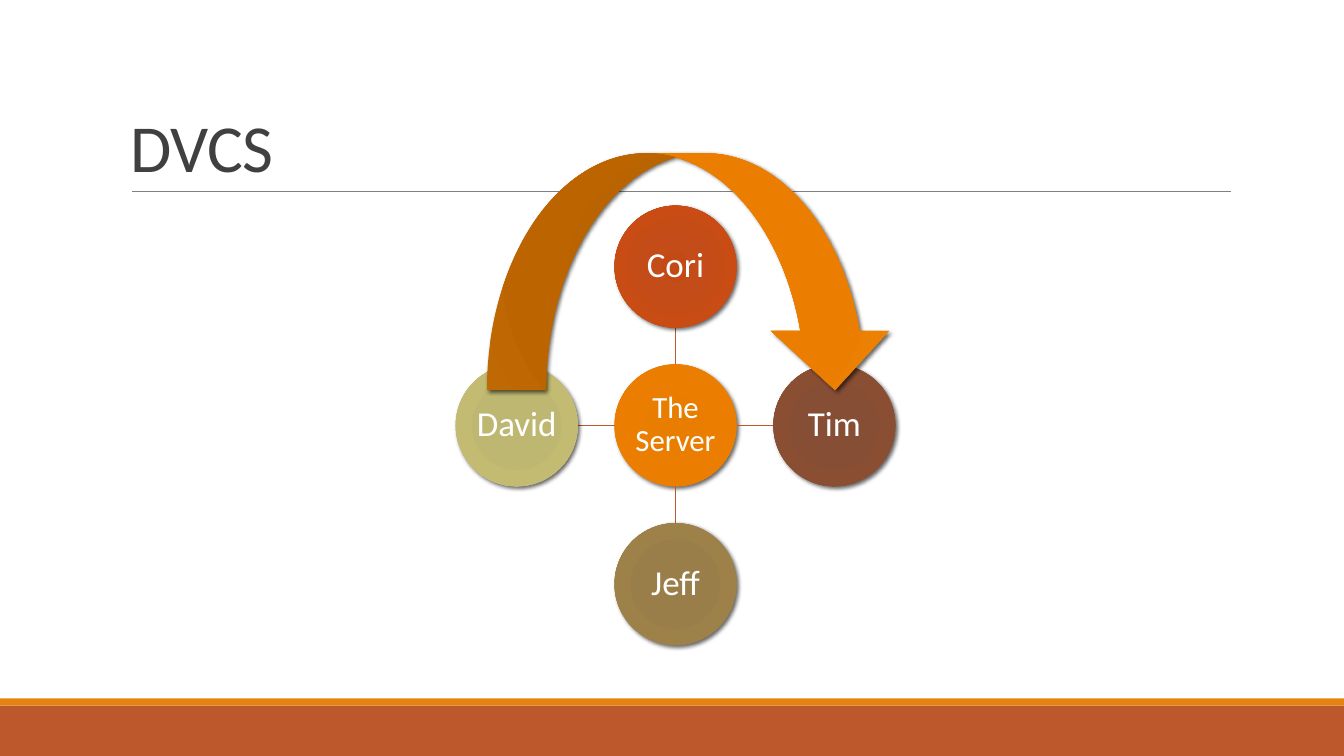
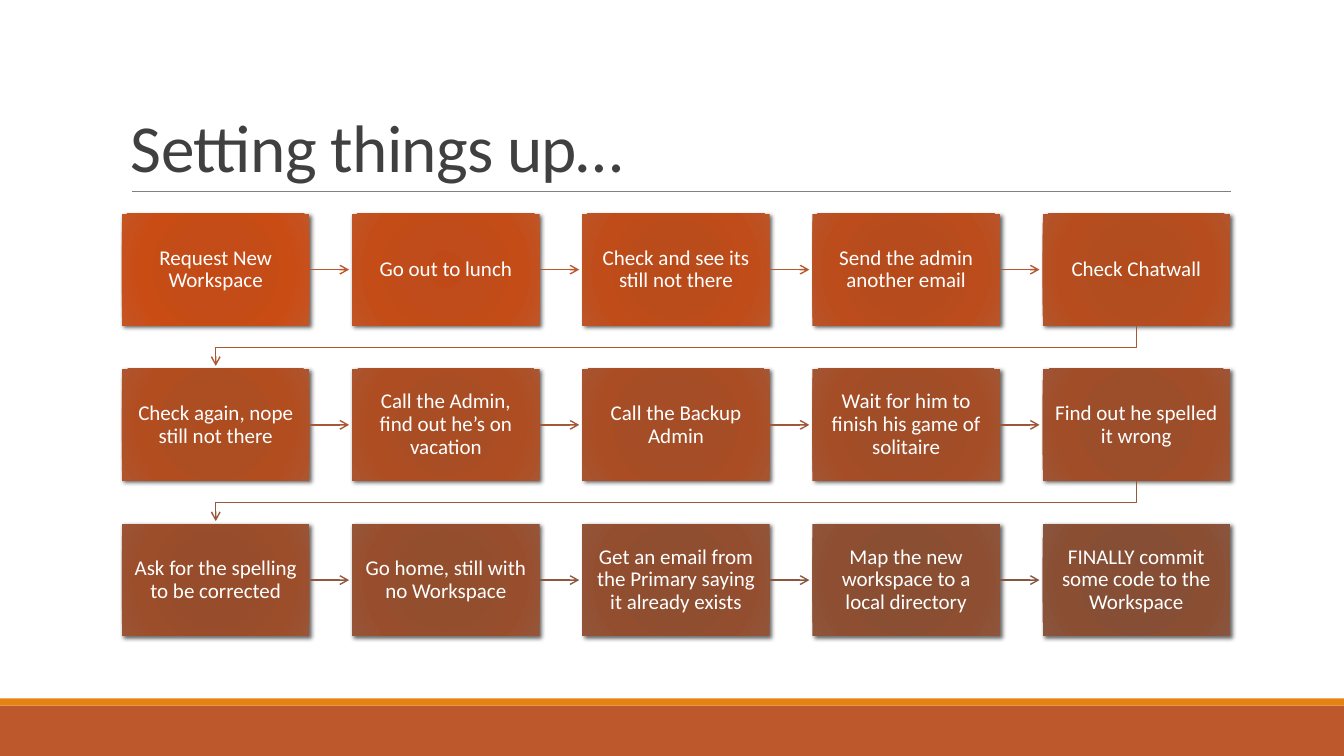
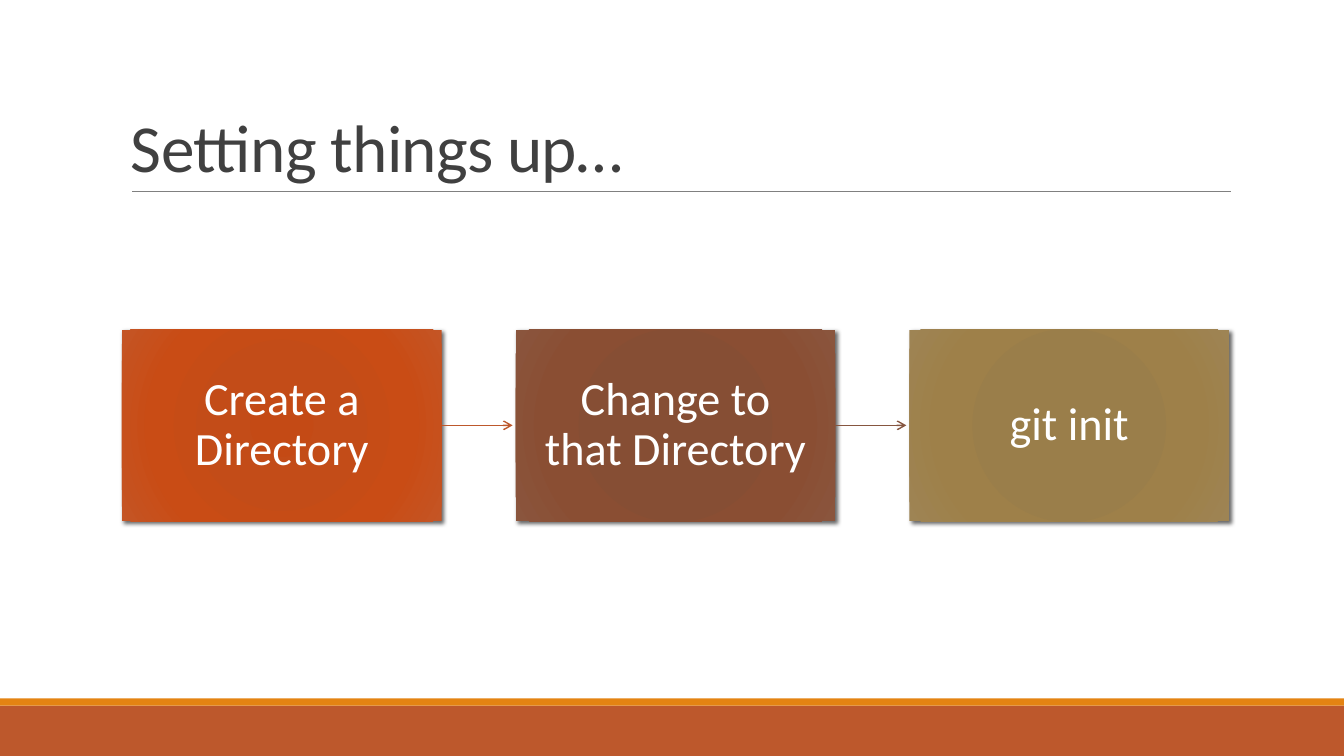
from lxml import etree
from pptx import Presentation
from pptx import util as u
from pptx.dml import color
from pptx.enum import shapes, text
from pptx.oxml import ns

FONT = "Calibri"
PALETTE = {
    "rust": "BD582C", "amber": "E48312", "rule": "808080",
    "title": "404040", "white": "FFFFFF", "umber": "865640",
}
STOPS = (0, 34, 70, 100)
GLOW = {
    "orange": ("E57B00", "E87D00", "EB7E00", "EF8407"),
    "red": ("C44A15", "C34C18", "C94C15", "C45525"),
    "brown": ("874C32", "864E34", "8A4E33", "8A553D"),
    "khaki": ("9A7D48", "9A7E4A", "9E8049", "9E8454"),
    "lime": ("BEB76E", "BEB771", "C3BB71", "C5BF7D"),
}
SHADOW = {"blurRad": u.Pt(3), "dist": u.Pt(2), "dir": 45 * 60000, "algn": "tl"}
ARROW_GAP = 0.03


def rgb(hex_code):
    return color.RGBColor.from_string(hex_code)


def blend(start, end, share):
    pairs = zip(bytes.fromhex(start), bytes.fromhex(end))
    return "".join(f"{round(a + (b - a) * share):02X}" for a, b in pairs)


def inches(*lengths):
    return [u.Inches(length) for length in lengths]


def apply(target, values):
    for name, value in values.items():
        setattr(target, name, value)


def child(parent, tag, **attributes):
    node = etree.SubElement(parent, ns.qn(f"a:{tag}"))
    for name, value in attributes.items():
        node.set(name, str(value))
    return node


def write(shape, words, size, ink, align, anchor, spacing, insets):
    frame = shape.text_frame
    apply(frame, {"word_wrap": True, "vertical_anchor": anchor})
    sides = ("margin_left", "margin_top", "margin_right", "margin_bottom")
    apply(frame, dict(zip(sides, inches(*insets))))
    paragraph = frame.paragraphs[0]
    apply(paragraph, {"alignment": align, "line_spacing": spacing})
    run = paragraph.add_run()
    run.text = words
    apply(run.font, {"name": FONT, "size": u.Pt(size)})
    run.font.color.rgb = rgb(ink)
    return run


def band(slide, top, height, tint):
    bar = slide.shapes.add_shape(shapes.MSO_SHAPE.RECTANGLE, *inches(0, top, 13.33, height))
    bar.shadow.inherit = False
    bar.fill.solid()
    bar.fill.fore_color.rgb = rgb(tint)
    bar.line.fill.background()


def style_line(line, tint, width, arrow=False):
    line.color.rgb = rgb(tint)
    line.width = u.Pt(width)
    if arrow:
        child(line._get_or_add_ln(), "tailEnd", type="arrow")


def connect(slide, start, end, tint, width=1, arrow=False, source=None):
    link = slide.shapes.add_connector(
        shapes.MSO_CONNECTOR.STRAIGHT, *inches(*start, *end))
    if source is not None:
        link.begin_connect(source, 3)
    style_line(link.line, tint, width, arrow)
    child(link.element.spPr, "effectLst")


def glowing(slide, preset, box, tints):
    shape = slide.shapes.add_shape(preset, *inches(*box))
    shape.line.fill.background()
    shape.fill.gradient()
    gradient = shape.element.spPr.find(ns.qn("a:gradFill"))
    for part in list(gradient):
        gradient.remove(part)
    stops = child(gradient, "gsLst")
    for stop, tint in zip(STOPS, tints):
        child(child(stops, "gs", pos=stop * 1000), "srgbClr", val=tint)
    circle = child(gradient, "path", path="circle")
    child(circle, "fillToRect", **dict.fromkeys("ltrb", 100000))
    shape.shadow.inherit = False
    effects = shape.element.spPr.find(ns.qn("a:effectLst"))
    cast = child(effects, "outerShdw", **SHADOW)
    child(child(cast, "srgbClr", val="000000"), "alpha", val=60000)
    return shape


def label(shape, words, size, inset):
    write(shape, words, size, PALETTE["white"], text.PP_ALIGN.CENTER,
          text.MSO_ANCHOR.MIDDLE, 0.9, [inset] * 4)


def titled_slide(deck, heading):
    slide = deck.slides.add_slide(deck.slide_layouts[6])
    band(slide, 7, 0.5, PALETTE["rust"])
    band(slide, 6.93, 0.07, PALETTE["amber"])
    connect(slide, (1.31, 1.9), (12.21, 1.9), PALETTE["rule"], 0.5)
    title = slide.shapes.add_textbox(*inches(1.2, 0.31, 11, 1.59))
    run = write(title, heading, 48, PALETTE["title"], text.PP_ALIGN.LEFT,
                text.MSO_ANCHOR.BOTTOM, 0.85, (0.1, 0.05, 0.1, 0.05))
    run.font._element.set("spc", "-50")
    return slide


def server_hub(slide, box):
    left, top, side = box
    diameter = 1.21
    radius = diameter / 2
    reach = (side - diameter) / 2
    center_x, center_y = left + side / 2, top + side / 2
    people = (("Cori", "red", 0, -1), ("Tim", "brown", 1, 0),
              ("Jeff", "khaki", 0, 1), ("David", "lime", -1, 0))

    def member(name, tint, dx, dy, size):
        spot = (center_x + dx * reach - radius, center_y + dy * reach - radius)
        disc = glowing(slide, shapes.MSO_SHAPE.OVAL,
                       (*spot, diameter, diameter), GLOW[tint])
        label(disc, name, size, 0.02)

    member("The Server", "orange", 0, 0, 22)
    for name, tint, dx, dy in people:
        ends = [(center_x + dx * far, center_y + dy * far)
                for far in (radius, reach - radius)]
        connect(slide, *ends, PALETTE["rust"])
        member(name, tint, dx, dy, 25)
    glowing(slide, shapes.MSO_SHAPE.CURVED_DOWN_ARROW,
            (left + 0.31, top - 0.52, 4.04, 2.35), GLOW["orange"])


def row_turn(slide, start, end, tint):
    middle = (start[1] + end[1] + ARROW_GAP) / 2
    corners = [(start[0], middle), (end[0], middle), end]
    route = slide.shapes.build_freeform(*inches(*start))
    route.add_line_segments([inches(*corner) for corner in corners], close=False)
    turn = route.convert_to_shape()
    turn.shadow.inherit = False
    turn.fill.background()
    style_line(turn.line, tint, 1, arrow=True)


def step_flow(slide, box, cell, columns, steps, glows, arrows, size, inset):
    left, top, width, height = box
    cell_width, cell_height = cell
    rows = len(steps) // columns
    pitch_x = (width - cell_width) / (columns - 1)
    pitch_y = (height - cell_height) / max(rows - 1, 1)
    spots = [(left + i % columns * pitch_x, top + i // columns * pitch_y)
             for i in range(len(steps))]
    for i, ((x, y), step) in enumerate(zip(spots, steps)):
        card = glowing(slide, shapes.MSO_SHAPE.RECTANGLE, (x, y, *cell), glows[i])
        label(card, step, size, inset)
        if i + 1 == len(steps):
            break
        next_x, next_y = spots[i + 1]
        if next_y == y:
            middle = y + cell_height / 2
            connect(slide, (x + cell_width, middle), (next_x - ARROW_GAP, middle),
                    arrows[i], arrow=True, source=card)
        else:
            row_turn(slide, (x + cell_width / 2, y + cell_height),
                     (next_x + cell_width / 2, next_y - ARROW_GAP), arrows[i])


def main():
    deck = Presentation()
    apply(deck, {"slide_width": u.Inches(13.33), "slide_height": u.Inches(7.5)})

    server_hub(titled_slide(deck, "DVCS"), (4.52, 2.04, 4.36))

    chores = (
        "Request New Workspace", "Go out to lunch",
        "Check and see its still not there", "Send the admin another email",
        "Check Chatwall", "Check again, nope still not there",
        "Call the Admin, find out he’s on vacation", "Call the Backup Admin",
        "Wait for him to finish his game of solitaire",
        "Find out he spelled it wrong", "Ask for the spelling to be corrected",
        "Go home, still with no Workspace",
        "Get an email from the Primary saying it already exists",
        "Map the new workspace to a local directory",
        "FINALLY commit some code to the Workspace",
    )
    last = len(chores) - 1
    fades = [[blend(a, b, i / last) for a, b in zip(GLOW["red"], GLOW["brown"])]
             for i in range(len(chores))]
    arrows = [blend(PALETTE["rust"], PALETTE["umber"], i / (last - 1))
              for i in range(last)]
    step_flow(titled_slide(deck, "Setting things up…"), (1.21, 2.12, 10.99, 4.19),
              (1.86, 1.11), 5, chores, fades, arrows, 15, 0.12)

    commands = ("Create a Directory", "Change to that Directory", "git init")
    step_flow(titled_slide(deck, "Setting things up…"), (1.21, 3.27, 10.98, 1.9),
              (3.17, 1.9), 3, commands,
              [GLOW[tint] for tint in ("red", "brown", "khaki")],
              (PALETTE["rust"], PALETTE["umber"]), 33, 0.26)

    deck.save("out.pptx")


if __name__ == "__main__":
    main()
